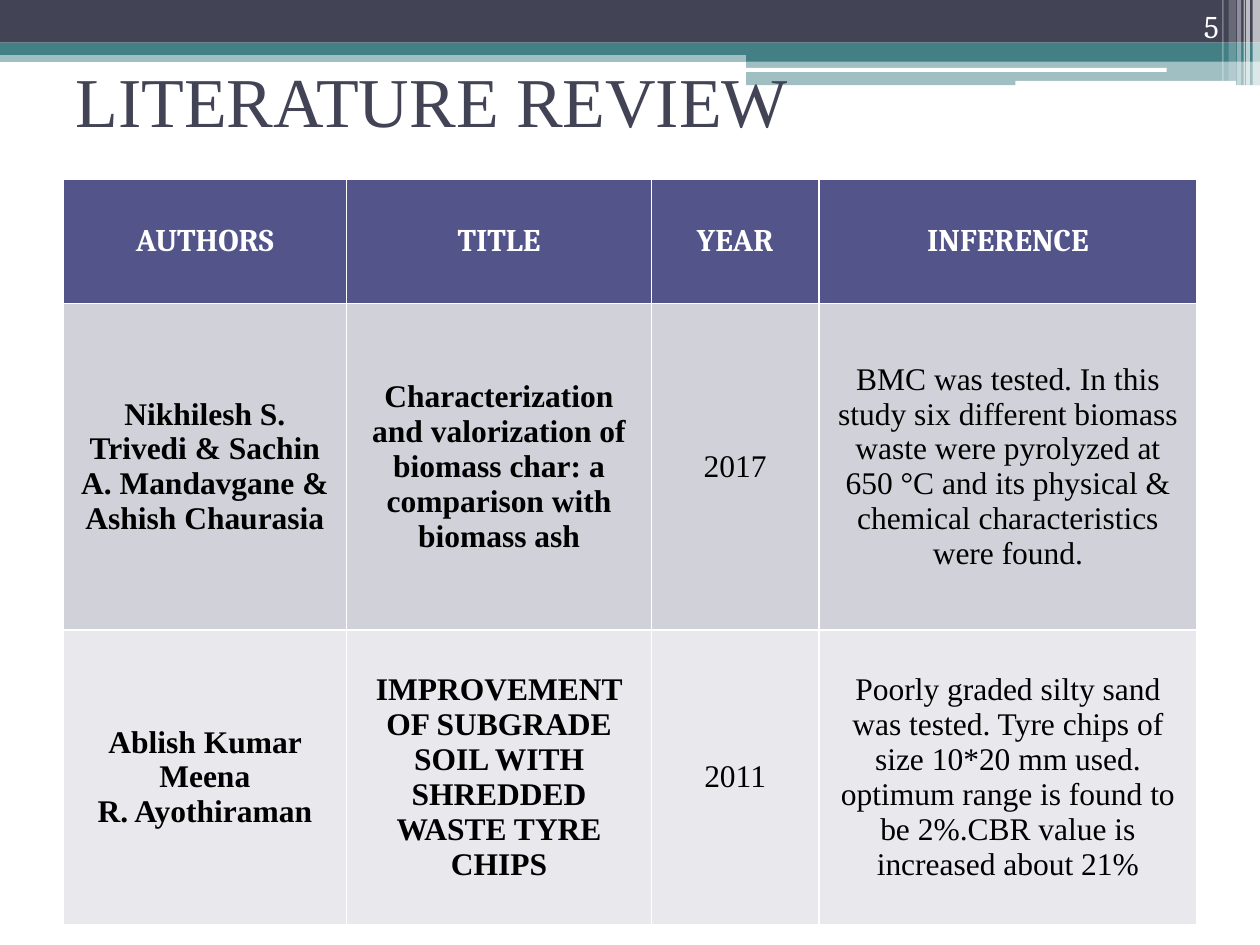
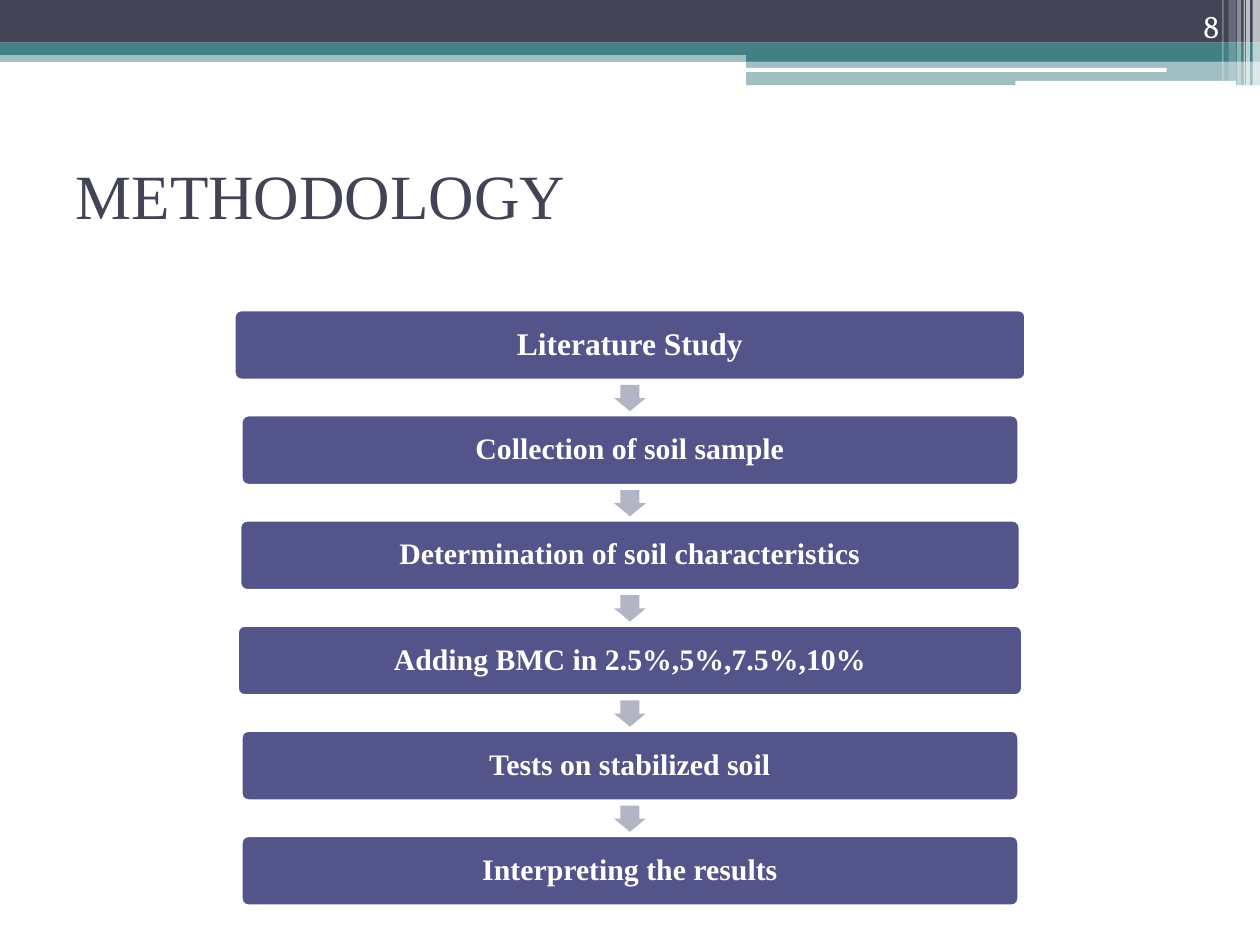
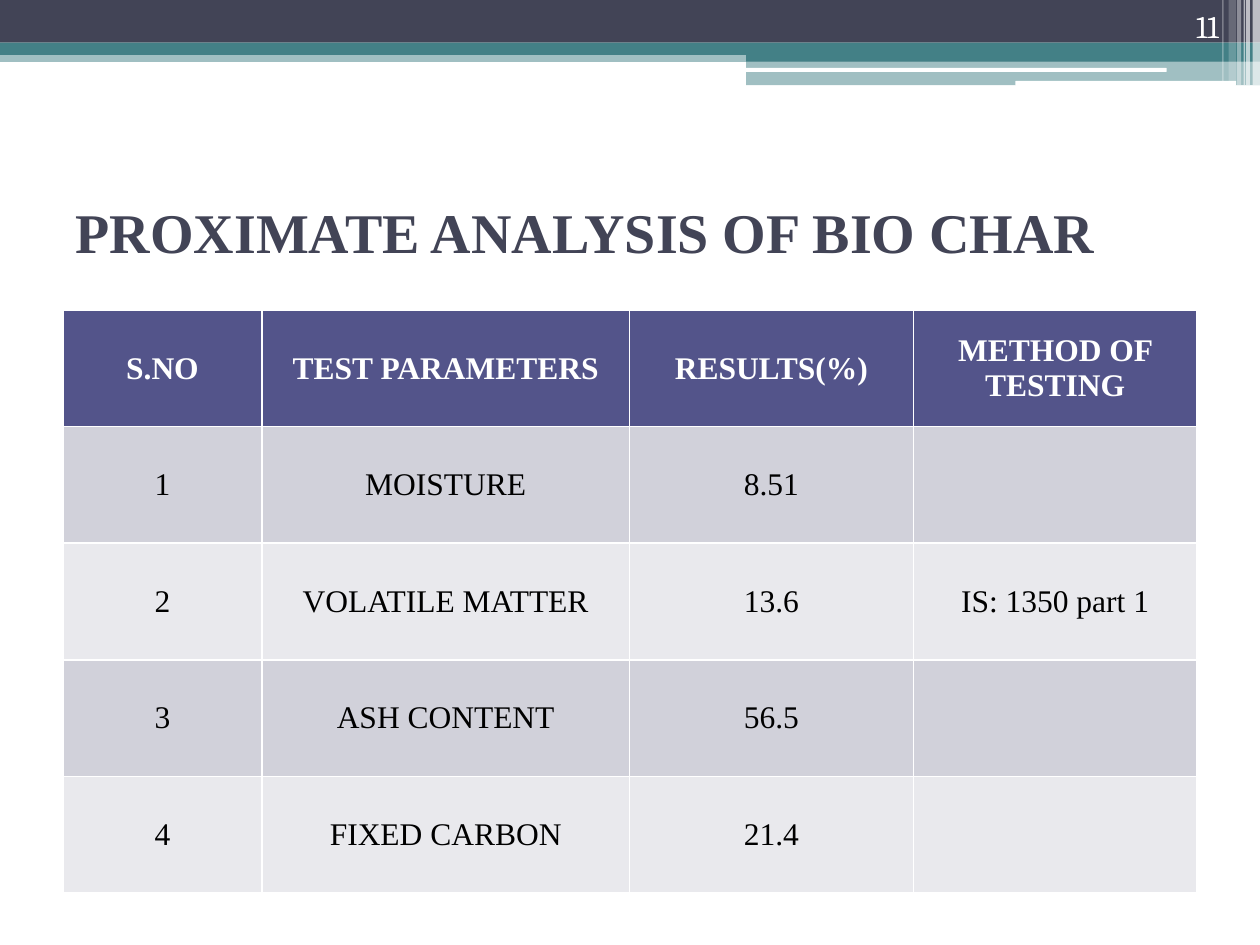
"""Build three slides on soil stabilised with bio char."""
from pptx import Presentation
from pptx.dml.color import RGBColor
from pptx.enum import shapes, text
from pptx.oxml import ns
from pptx.util import Cm, Pt
from lxml import etree

WHITE, BLACK = "FFFFFF", "000000"
DARK, TEAL, BLUE, ARROW = "424456", "438086", "53548A", "B3B4C4"
ROWS = ("E9E9ED", "D1D1DA")
SERIF, CAMBRIA = "Times New Roman", "Cambria"
WIDE, LEFT = 25.4, 1.27
RECT = shapes.MSO_SHAPE.RECTANGLE
ROUND = shapes.MSO_SHAPE.ROUNDED_RECTANGLE
ALIGN, MIDDLE = text.PP_ALIGN, text.MSO_ANCHOR.MIDDLE

BANDS = [
    (0, 1.02, WIDE, 0.23, TEAL, 50),
    (0, 0, WIDE, 0.86, DARK, 100),
    (0, 0.86, WIDE, 0.25, TEAL, 100),
    (15.04, 0.99, 10.36, 0.25, TEAL, 100),
    (15.04, 1.23, 10.36, 0.49, TEAL, 50),
]
BARS = [(15.01, 1.37, 8.51, 0.08), (20.47, 1.63, 4.45, 0.1)]
STRIPES = [
    (25.25, 0.15, 1.72, 65),
    (25.12, 0.08, 1.72, 65),
    (25.07, 0.03, 1.72, 60),
    (24.94, 0.08, 1.72, 40),
    (24.77, 0.15, 1.63, 20),
    (24.64, 0.03, 1.63, 30),
]

PAPERS = [
    ("AUTHORS", "TITLE", "YEAR", "INFERENCE"),
    ("Nikhilesh S. Trivedi & Sachin A. Mandavgane & Ashish Chaurasia",
     "Characterization and valorization of biomass char: "
     "a comparison with biomass ash",
     "2017",
     "BMC was tested. In this study six different biomass waste were "
     "pyrolyzed at 650 °C and its physical & chemical characteristics "
     "were found."),
    ("Ablish Kumar Meena\nR. Ayothiraman",
     "IMPROVEMENT OF SUBGRADE SOIL WITH SHREDDED WASTE TYRE CHIPS",
     "2011",
     "Poorly graded silty sand was tested. Tyre chips of size 10*20 mm "
     "used. optimum range is found to be 2%.CBR value is increased "
     "about 21%"),
]
STEPS = [
    ("Literature Study", 15.95, 18),
    ("Collection of soil sample", 15.67, 17),
    ("Determination of soil characteristics", 15.72, 17),
    ("Adding BMC in 2.5%,5%,7.5%,10%", 15.82, 17),
    ("Tests on stabilized soil", 15.67, 17),
    ("Interpreting the results", 15.67, 17),
]
TESTS = [
    ("S.NO", "TEST PARAMETERS", "RESULTS(%)", "METHOD OF TESTING"),
    ("1", "MOISTURE", "8.51", ""),
    ("2", "VOLATILE MATTER", "13.6", "IS: 1350 part 1"),
    ("3", "ASH CONTENT", "56.5", ""),
    ("4", "FIXED CARBON", "21.4", ""),
]


def paint(fill, hue, alpha=100):
    """Fill with a solid colour at the given opacity in percent."""
    fill.solid()
    fill.fore_color.rgb = RGBColor.from_string(hue)
    if alpha < 100:
        tint = fill._xPr.find(ns.qn("a:solidFill"))[0]
        etree.SubElement(tint, ns.qn("a:alpha"), val=str(alpha * 1000))


def write(frame, words, size, hue, bold=False, face=SERIF, align=ALIGN.CENTER):
    """Put styled text in a frame, one paragraph a line."""
    frame.text = words
    for para in frame.paragraphs:
        para.alignment = align
        font = para.font
        font.name, font.size, font.bold = face, Pt(size), bold
        font.color.rgb = RGBColor.from_string(hue)


def block(slide, kind, box, hue, alpha=100, adjs=()):
    """Add a flat shape without outline."""
    shape = slide.shapes.add_shape(kind, *map(Cm, box))
    shape.shadow.inherit = False
    shape.line.fill.background()
    paint(shape.fill, hue, alpha)
    for spot, value in enumerate(adjs):
        shape.adjustments[spot] = value
    return shape


def banner(slide):
    """Draw the header bands and move them to the slide's layout."""
    parts = [block(slide, RECT, box, hue, alpha)
             for *box, hue, alpha in BANDS]
    parts += [block(slide, ROUND, box, WHITE, adjs=[0.17]) for box in BARS]
    parts += [block(slide, RECT, (left, 0, width, high), WHITE, alpha)
              for left, width, high, alpha in STRIPES]
    for part in parts:
        slide.slide_layout.shapes.element.append(part.element)


def page(deck, title, number, top, high, size, bold=False):
    """Add a slide with its title and page number."""
    slide = deck.slides.add_slide(deck.slide_layouts[5])
    head = slide.shapes.title
    head.left, head.top = Cm(LEFT), Cm(top)
    head.width, head.height = Cm(22.86), Cm(high)
    write(head.text_frame, title, size, DARK, bold, align=ALIGN.LEFT)
    head.text_frame.vertical_anchor = MIDDLE
    note = slide.shapes.add_textbox(Cm(22.71), 0, Cm(2.11), Cm(1.02))
    note.text_frame.word_wrap = True
    note.text_frame.vertical_anchor = text.MSO_ANCHOR.BOTTOM
    write(note.text_frame, number, 18, WHITE, face=CAMBRIA, align=ALIGN.RIGHT)
    return slide


def grid(slide, data, top, widths, highs, face=SERIF, strong=0):
    """Add a table whose first `strong` columns are bold."""
    frame = slide.shapes.add_table(
        len(data), len(widths), Cm(LEFT), Cm(top),
        Cm(sum(widths)), Cm(sum(highs)))
    table = frame.table
    for col, width in zip(table.columns, widths):
        col.width = Cm(width)
    for row, high in zip(table.rows, highs):
        row.height = Cm(high)
    for r, line in enumerate(data):
        for c, words in enumerate(line):
            cell = table.cell(r, c)
            cell.vertical_anchor = MIDDLE
            if r == 0:
                paint(cell.fill, BLUE)
                write(cell.text_frame, words, 18, WHITE, True, face)
            else:
                paint(cell.fill, ROWS[r % 2])
                write(cell.text_frame, words, 18, BLACK, c < strong)


def flow(slide, steps, top=6.25, pitch=2.12, high=1.41):
    """Stack the steps in the middle with an arrow between each pair."""
    for spot, (words, width, size) in enumerate(steps):
        y = top + spot * pitch
        if spot:
            block(slide, shapes.MSO_SHAPE.DOWN_ARROW,
                  (WIDE / 2 - 0.32, y - 0.61, 0.64, 0.53), ARROW,
                  adjs=[0.6, 0.5])
        step = block(slide, ROUND, ((WIDE - width) / 2, y, width, high),
                     BLUE, adjs=[0.1])
        paint(step.line.fill, WHITE)
        step.line.width = Pt(1.5)
        write(step.text_frame, words, size, WHITE, True)
        step.text_frame.vertical_anchor = MIDDLE
        step.text_frame.paragraphs[0].line_spacing = 0.9


def main():
    """Build and save the deck."""
    deck = Presentation()
    deck.slide_width, deck.slide_height = Cm(WIDE), Cm(19.05)
    review = page(deck, "LITERATURE REVIEW", "5", 0.64, 2.74, 40)
    banner(review)
    grid(review, PAPERS, 3.61, (5.72, 6.14, 3.38, 7.62),
         (2.51, 6.58, 5.94), CAMBRIA, 2)
    method = page(deck, "METHODOLOGY", "8", 3.18, 1.47, 36)
    flow(method, STEPS)
    proof = page(deck, "PROXIMATE ANALYSIS OF BIO CHAR", "11",
                 3.18, 2.97, 32, True)
    grid(proof, TESTS, 6.25, (4.01, 7.41, 5.72, 5.72), [2.35] * 5)
    deck.save("out.pptx")


if __name__ == "__main__":
    main()
